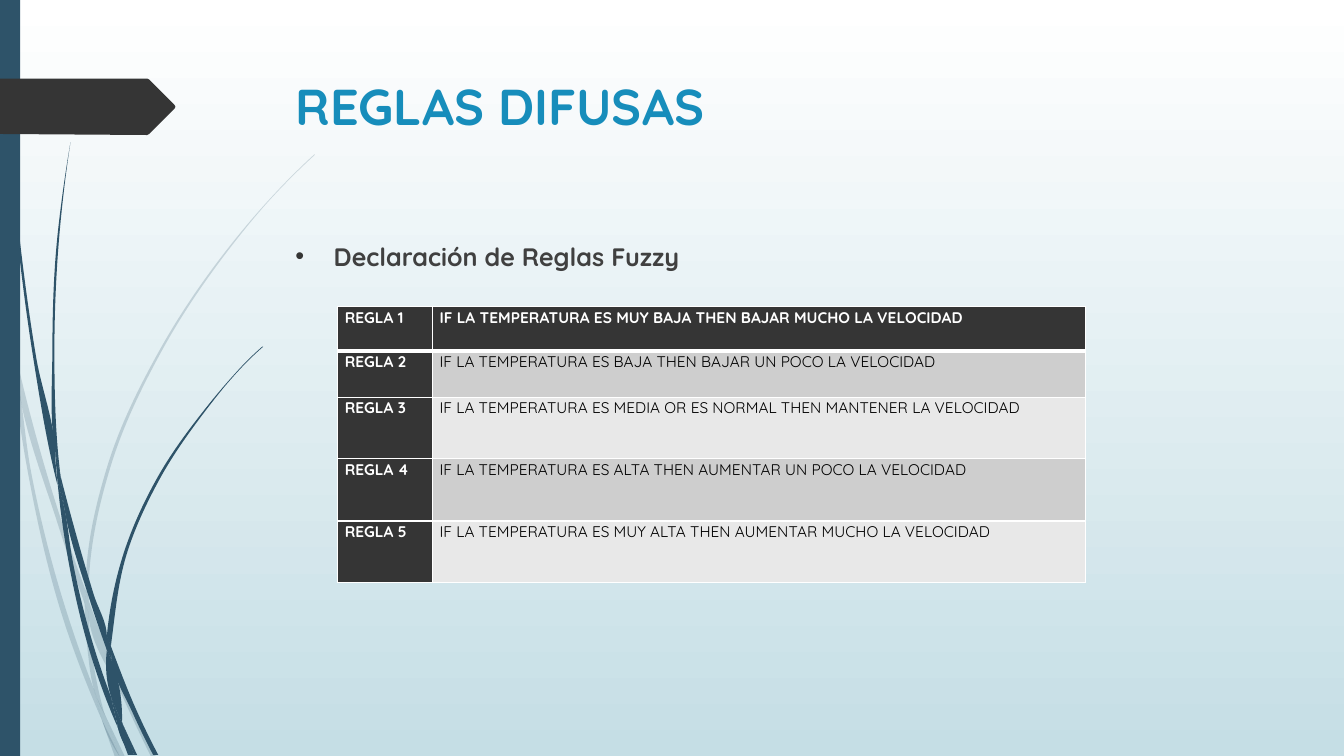
from math import dist
from lxml.etree import SubElement as Sub
from pptx import Presentation
from pptx.dml.color import RGBColor as Rgb
from pptx.enum.shapes import MSO_SHAPE as Kind
from pptx.enum.text import MSO_ANCHOR as Anchor, MSO_AUTO_SIZE as Auto, PP_ALIGN as Align
from pptx.oxml import parse_xml
from pptx.oxml.ns import nsdecls, qn
from pptx.util import Inches as In, Pt

FONT = "Quicksand"
HUE = dict(blue="2E5369", dark="353535", title="178DBB", text="404040", white="FFFFFF",
           black="000000", sky="C5DEE5", band="CECECE", pale="E8E8E8")
TITLE = "REGLAS DIFUSAS"
HEAD = "Declaración de Reglas Fuzzy"
RULES = [
    "IF LA TEMPERATURA ES MUY BAJA THEN BAJAR MUCHO LA VELOCIDAD",
    "IF LA TEMPERATURA ES BAJA THEN BAJAR UN POCO LA VELOCIDAD",
    "IF LA TEMPERATURA ES MEDIA OR ES NORMAL THEN MANTENER LA VELOCIDAD",
    "IF LA TEMPERATURA ES ALTA THEN AUMENTAR UN POCO LA VELOCIDAD",
    "IF LA TEMPERATURA ES MUY ALTA THEN AUMENTAR MUCHO LA VELOCIDAD",
]
COLS, ROWS = (0.94, 6.48), (0.44, 0.46, 0.61, 0.62, 0.61)

FAINT = [
    ([(0.11, 3.5), (0.09, 3.22), (0, 2.82)], [(0, 2.99), (0.1, 3.44), (0.11, 3.5)]),
    ([(0.14, 3.45), (0.17, 3.76), (0.58, 5.22), (0.84, 5.99)],
     [(0.85, 5.86), (0.62, 5.2), (0.14, 3.45)]),
    ([(0.88, 5.96), (0.88, 6.1), (1.23, 6.94), (1.5, 7.51)],
     [(1.55, 7.51), (1.27, 6.92), (0.92, 6.07), (0.88, 5.96)]),
    ([(1.19, 7.51), (1.24, 7.51)], [(1.05, 7.11), (1.19, 7.51)]),
    ([(0.93, 6.83), (0.7, 6.19), (0.31, 4.69), (0.17, 3.76), (0.11, 3.5)],
     [(0.11, 3.5), (0.28, 4.7), (0.65, 6.21), (0.92, 6.93), (1.01, 7.14)],
     [(0.99, 7.07), (0.93, 6.83)]),
    ([(0.84, 5.99), (0.87, 6.46), (0.93, 6.83), (0.96, 6.92), (1.05, 7.11)],
     [(1.03, 7.06), (0.91, 6.46), (0.88, 6.1)], [(0.88, 6.08), (0.84, 5.99)]),
    ([(0.88, 5.96), (0.88, 5.84), (1.1, 4.62), (1.6, 3.49), (2.29, 2.45), (2.68, 1.98),
      (2.9, 1.75), (3.12, 1.54)],
     [(3.12, 1.53), (2.89, 1.75), (2.68, 1.97), (2.28, 2.44), (1.58, 3.48), (1.07, 4.61),
      (0.85, 5.84), (0.85, 5.86)]),
    ([(1.01, 7.14), (1.14, 7.51)], [(1.19, 7.51), (1.01, 7.14)]),
    ([(0.88, 6.08), (0.88, 6.1)], [(0.88, 5.96), (0.85, 5.86)], [(0.84, 5.99), (0.88, 6.08)]),
    ([(0.96, 6.92), (0.93, 6.83)], [(0.99, 7.07), (1.01, 7.14), (1.19, 7.51)],
     [(1.05, 7.11), (0.96, 6.92)]),
]
BOLD = [
    ([(0.03, 0), (0.04, 0.48), (0.07, 1.1), (0.17, 2.33), (0.33, 3.55), (0.56, 4.77),
      (0.57, 4.81)],
     [(0.55, 4.57), (0.55, 4.53), (0.36, 3.55), (0.19, 2.32), (0.08, 1.09), (0.05, 0.48),
      (0.04, 0)]),
    ([(0.6, 4.72), (0.64, 5.05), (0.88, 5.92), (1.06, 6.45)],
     [(1.06, 6.33), (1.06, 6.31), (0.93, 5.9), (0.6, 4.72)]),
    ([(1.1, 6.41), (1.11, 6.56), (1.32, 7.08), (1.52, 7.49)],
     [(1.57, 7.49), (1.36, 7.06), (1.13, 6.49), (1.1, 6.41)]),
    ([(1.1, 6.91), (0.98, 6.57), (0.72, 5.56), (0.64, 5.05), (0.57, 4.77)],
     [(0.57, 4.77), (0.68, 5.57), (0.93, 6.59), (1.11, 7.08), (1.17, 7.22)],
     [(1.16, 7.17), (1.1, 6.91)]),
    ([(0.6, 4.72), (0.58, 4.53), (0.54, 3.49), (0.58, 2.45), (0.63, 1.93), (0.7, 1.41)],
     [(0.7, 1.41), (0.62, 1.93), (0.56, 2.45), (0.52, 3.49), (0.55, 4.49), (0.6, 4.72)]),
    ([(1.33, 7.49), (1.36, 7.49)], [(1.22, 7.19), (1.33, 7.49)]),
    ([(0.57, 4.77), (0.64, 5.05)], [(0.6, 4.72), (0.55, 4.49)], [(0.55, 4.53), (0.57, 4.77)]),
    ([(1.1, 6.41), (1.11, 6.33), (1.25, 5.52), (1.58, 4.76), (2.05, 4.06), (2.31, 3.74),
      (2.45, 3.59), (2.61, 3.44)],
     [(2.6, 3.44), (2.45, 3.58), (2.31, 3.73), (2.04, 4.05), (1.56, 4.74), (1.22, 5.51),
      (1.06, 6.31)]),
    ([(1.17, 7.22), (1.27, 7.49)], [(1.31, 7.49), (1.17, 7.22)]),
    ([(1.06, 6.45), (1.1, 6.91), (1.16, 7.06), (1.22, 7.19)],
     [(1.21, 7.16), (1.11, 6.56), (1.09, 6.51), (1.06, 6.45)]),
    ([(1.06, 6.45), (1.09, 6.51), (1.11, 6.56)], [(1.1, 6.41), (1.06, 6.31), (1.06, 6.45)]),
    ([(1.16, 7.06), (1.1, 6.91)], [(1.16, 7.17), (1.17, 7.22), (1.3, 7.49)],
     [(1.33, 7.49), (1.22, 7.19), (1.16, 7.06)]),
]
ARROW = [(0, 0.78), (1.46, 0.78), (1.48, 0.79), (1.73, 1.04), (1.74, 1.06), (1.73, 1.08),
         (1.48, 1.33), (1.46, 1.34), (0, 1.33)]


def rgb(name):
    return Rgb.from_string(HUE[name])


def paint(shape, hue, alpha=100):
    shape.shadow.inherit = False
    shape.fill.solid()
    shape.fill.fore_color.rgb = rgb(hue)
    shape.line.fill.background()
    if alpha < 100:
        tint = shape.fill._xPr.find(".//" + qn("a:srgbClr"))
        Sub(tint, qn("a:alpha"), val=str(alpha * 1000))


def mix(a, b, m, n):
    return tuple(m * p + n * q for p, q in zip(a, b))


def bend(knots):
    gaps = [dist(a, b) for a, b in zip(knots, knots[1:])]
    rates = [mix(b, a, 1 / g, -1 / g) for a, b, g in zip(knots, knots[1:], gaps)]
    inner = [mix(u, v, h / (g + h), g / (g + h))
             for u, v, g, h in zip(rates, rates[1:], gaps, gaps[1:])]
    if inner:
        slopes = [mix(rates[0], inner[0], 2, -1), *inner, mix(rates[-1], inner[-1], 2, -1)]
    else:
        slopes = rates * 2
    for n, g in enumerate(gaps):
        yield mix(knots[n], slopes[n], 1, g / 3)
        yield mix(knots[n + 1], slopes[n + 1], 1, -g / 3)
        yield knots[n + 1]


def draw(points):
    dots = [(In(x), In(y)) for x, y in points]
    pen = slide.shapes.build_freeform(*dots[0])
    pen.add_line_segments(dots[1:], close=True)
    return pen.convert_to_shape()


def blade(edges, alpha):
    points, curved = [edges[0][0]], []
    for edge in edges:
        if edge[0] != points[-1]:
            points.append(edge[0])
        for n, dot in enumerate(bend(edge)):
            if n % 3 == 0:
                curved.append(len(points) - 1)
            points.append(dot)
    shape = draw(points)
    lines = list(shape._element.iter(qn("a:lnTo")))
    for n in curved:
        first = lines[n]
        curve = first.makeelement(qn("a:cubicBezTo"))
        first.addprevious(curve)
        for line in lines[n:n + 3]:
            curve.append(line[0])
            line.getparent().remove(line)
    paint(shape, "blue", alpha)


def write(para, text, size, hue, bold=True):
    run = para.add_run()
    run.text = text
    font = run.font
    font.name, font.size, font.bold = FONT, Pt(size), bold
    font.color.rgb = rgb(hue)


def border(cell, first):
    props = cell._tc.get_or_add_tcPr()
    for n, side in enumerate("LRTB"):
        wide = Pt(3 if first and side == "B" else 1)
        props.insert(n, parse_xml(
            f'<a:ln{side} {nsdecls("a")} w="{wide}"><a:solidFill>'
            f'<a:srgbClr val="{HUE["white"]}"/></a:solidFill></a:ln{side}>'))


deck = Presentation()
deck.slide_width, deck.slide_height = In(13.33), In(7.5)
slide = deck.slides.add_slide(deck.slide_layouts[5])

back = slide.background.fill
back.gradient()
back.gradient_angle = 270
for stop, hue, at in zip(back.gradient_stops, ("white", "sky"), (0, 1)):
    stop.color.rgb, stop.position = rgb(hue), at

for blades, alpha in ((FAINT, 20), (BOLD, 100)):
    for edges in blades:
        blade(edges, alpha)
bar = slide.shapes.add_shape(Kind.RECTANGLE, 0, 0, In(0.2), deck.slide_height)
paint(bar, "blue")
paint(draw(ARROW), "dark")

title = slide.shapes.title
title.left, title.top, title.width, title.height = map(In, (2.83, 0.69, 9.75, 1.4))
frame = title.text_frame
frame.vertical_anchor, frame.auto_size = Anchor.TOP, Auto.NONE
frame.paragraphs[0].alignment = Align.LEFT
write(frame.paragraphs[0], TITLE, 36, "title")

body = slide.shapes.add_textbox(In(2.83), In(2.34), In(9.75), In(4.13))
body.text_frame.word_wrap = True
para = body.text_frame.paragraphs[0]
props = para._p.get_or_add_pPr()
props.set("marL", str(In(0.38)))
props.set("indent", str(-In(0.38)))
tint = Sub(props, qn("a:buClr"))
Sub(tint, qn("a:srgbClr"), val=HUE["dark"])
Sub(props, qn("a:buFont"), typeface="Arial")
Sub(props, qn("a:buChar"), char="•")
write(para, HEAD, 18, "text")

grid = slide.shapes.add_table(len(ROWS), len(COLS), In(3.35), In(3.04),
                              In(sum(COLS)), In(sum(ROWS))).table
for col, wide in zip(grid.columns, COLS):
    col.width = In(wide)
for r, (high, rule) in enumerate(zip(ROWS, RULES)):
    grid.rows[r].height = In(high)
    for c, text in enumerate((f"REGLA {r + 1}", rule)):
        cell = grid.cell(r, c)
        key = r == 0 or c == 0
        cell.margin_left = cell.margin_right = In(0.07)
        cell.margin_top = cell.margin_bottom = 0
        cell.fill.solid()
        cell.fill.fore_color.rgb = rgb("dark" if key else "band" if r % 2 else "pale")
        border(cell, r == 0)
        para = cell.text_frame.paragraphs[0]
        para.line_spacing = 1.07
        write(para, text, 11, "white" if key else "black", key)

deck.save("out.pptx")
